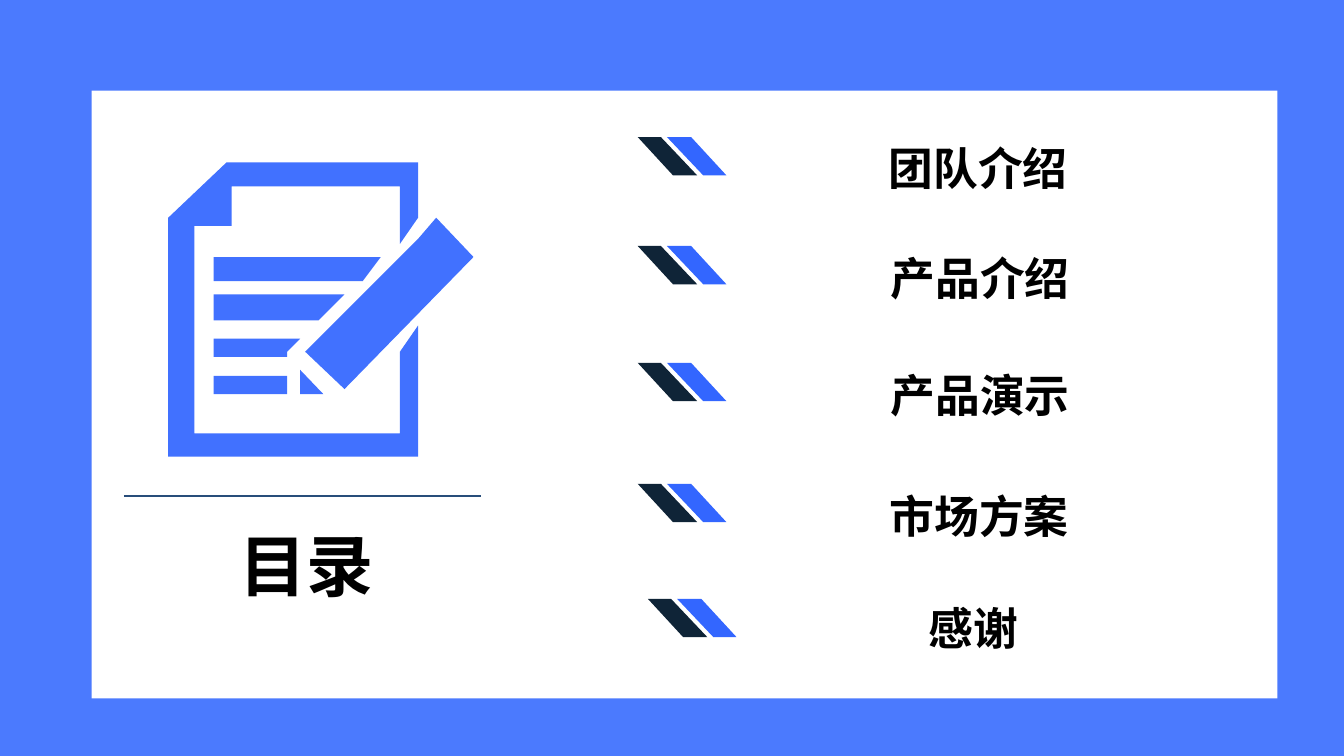
from pptx import Presentation
from pptx.dml.color import RGBColor
from pptx.enum.shapes import MSO_CONNECTOR as CONN, MSO_SHAPE as SHAPE
from pptx.enum.text import MSO_AUTO_SIZE as AUTO
from pptx.oxml.ns import qn
from pptx.util import Inches, Pt
from lxml.etree import SubElement

# Grid of 1334 columns by 750 rows
COLS, ROWS = 1334, 750
CELL = Inches(0.01)
FONT = "Noto Sans CJK JP"
BLACK, WHITE, NAVY, RULE = "000000", "FFFFFF", "0F2437", "284D7A"
BLUE, ICON_BLUE, BACK_BLUE = "3366FF", "4171FF", "4B7AFE"

# Agenda: label, its left column and top row, marker column and row
AGENDA = [
    ("团队介绍", 872, 135, 633, 136),
    ("产品介绍", 874, 244, 633, 244),
    ("产品演示", 874, 360, 633, 360),
    ("市场方案", 873, 480, 633, 480),
    ("感谢", 912, 591, 643, 594),
]

# Notepad outline with a folded corner, open where the pencil crosses
PAGE = [(397, 430), (193, 430), (193, 224), (230, 224), (230, 185), (397, 185),
        (397, 242), (415, 216), (415, 161), (225, 161), (167, 216), (167, 453),
        (415, 453), (415, 323), (397, 349)]
PENCIL = [(415, 237), (303, 349), (342, 386), (470, 255), (433, 216)]
PENCIL_TIP = [(298, 367), (298, 391), (321, 391)]
TEXT_LINES = [
    [(378, 255), (212, 255), (212, 279), (360, 279)],
    [(212, 318), (316, 318), (342, 292), (212, 292)],
    [(212, 336), (212, 354), (285, 354), (285, 349), (298, 336)],
    [(212, 391), (285, 391), (285, 373), (212, 373)],
]


def rgb(hex_color):
    return RGBColor.from_string(hex_color)


def grid(*cells):
    return [int(c * CELL) for c in cells]


def paint(sp, color):
    sp.shadow.inherit = False
    sp.fill.solid()
    sp.fill.fore_color.rgb = rgb(color)
    sp.line.fill.background()


def add_panel(s, x, y, w, h, color):
    paint(s.shapes.add_shape(SHAPE.RECTANGLE, *grid(x, y, w, h)), color)


def add_outline(s, contours, color):
    first, *others = contours
    builder = s.shapes.build_freeform(*first[0], scale=CELL)
    builder.add_line_segments(first[1:], close=True)
    for points in others:
        builder.move_to(*points[0])
        builder.add_line_segments(points[1:], close=True)
    paint(builder.convert_to_shape(), color)


def add_marker(s, x, y):
    for left, color in ((x, NAVY), (x + 29.5, BLUE)):
        slant = [(left + 23, y), (left, y), (left + 35.5, y + 38), (left + 58.5, y + 38)]
        add_outline(s, [slant], color)


def add_rule(s, x1, x2, y, color, width):
    line = s.shapes.add_connector(CONN.STRAIGHT, *grid(x1, y, x2, y))
    line.line.color.rgb = rgb(color)
    line.line.width = Pt(width)
    SubElement(line._element.spPr, qn("a:effectLst"))


def add_text(s, text, x, y, w, h, size, color=BLACK, bold=True):
    tf = s.shapes.add_textbox(*grid(x, y, w, h)).text_frame
    tf.word_wrap = False
    tf.auto_size = AUTO.SHAPE_TO_FIT_TEXT
    r = tf.paragraphs[0].add_run()
    r.text = text
    r.font.name, r.font.size, r.font.bold = FONT, Pt(size), bold
    r.font.color.rgb = rgb(color)
    # East Asian glyphs take their own typeface
    SubElement(r.font._element, qn("a:ea")).set("typeface", FONT)


def main():
    prs = Presentation()
    prs.slide_width, prs.slide_height = grid(COLS, ROWS)
    s = prs.slides.add_slide(prs.slide_layouts[6])

    # Background and white panel
    s.background.fill.solid()
    s.background.fill.fore_color.rgb = rgb(BACK_BLUE)
    add_panel(s, 91, 90, 1177, 603, WHITE)

    # Notepad icon, rule and title
    add_outline(s, [PAGE, PENCIL, PENCIL_TIP, *TEXT_LINES], ICON_BLUE)
    add_rule(s, 123, 477, 492, RULE, 1.75)
    add_text(s, "目录", 228, 515, 153, 90, size=48)

    # Agenda rows
    for label, x, y, marker_x, marker_y in AGENDA:
        add_marker(s, marker_x, marker_y)
        add_text(s, label, x, y, 20 + 44.5 * len(label), 64, size=32)

    prs.save("out.pptx")


if __name__ == "__main__":
    main()
